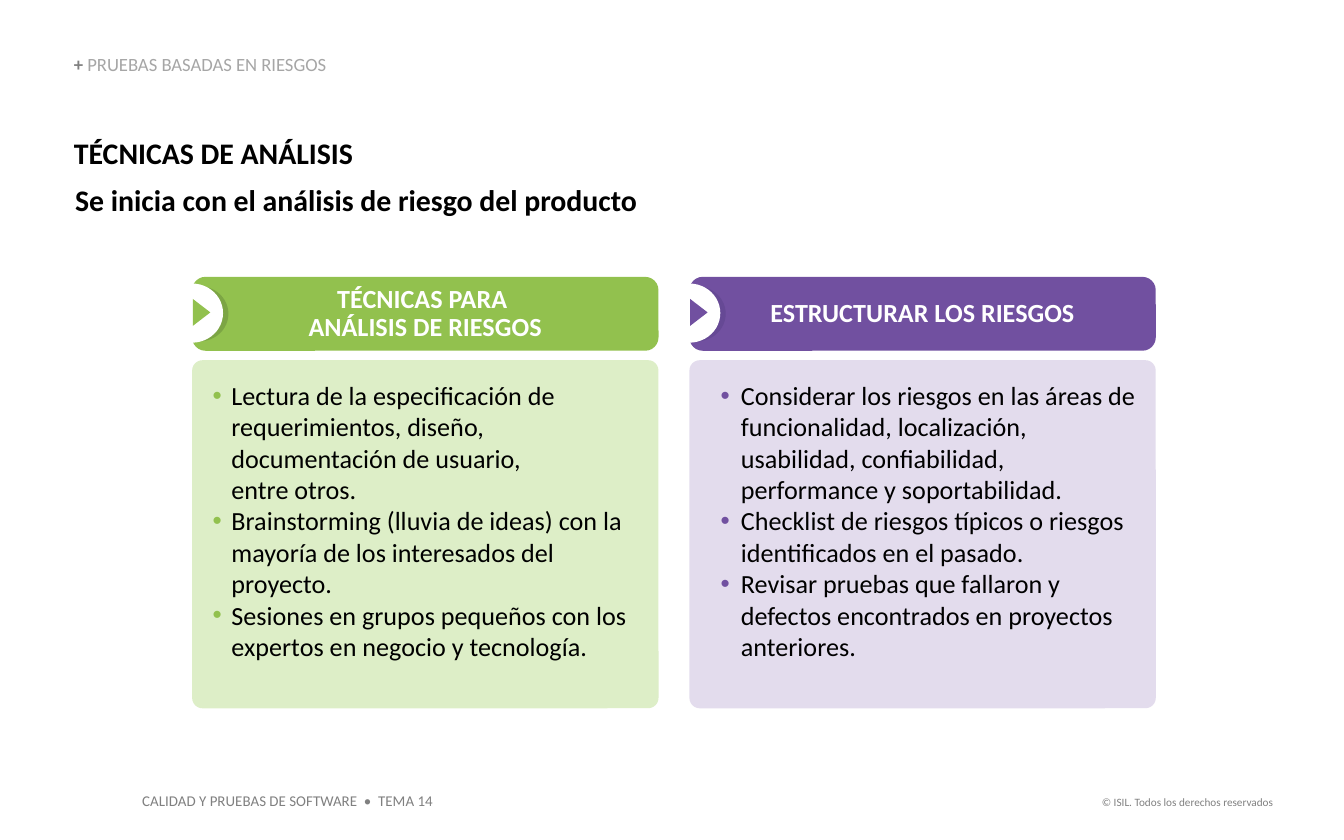
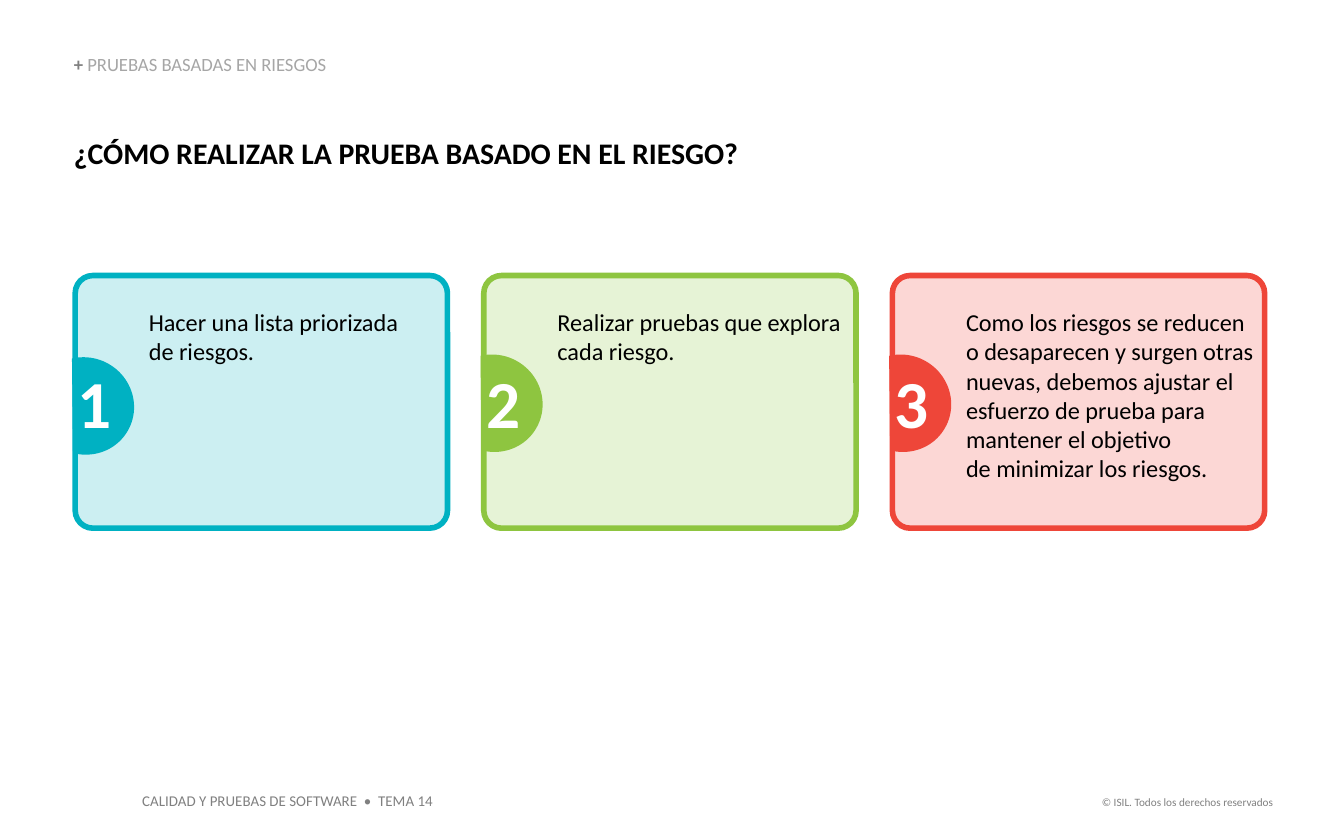
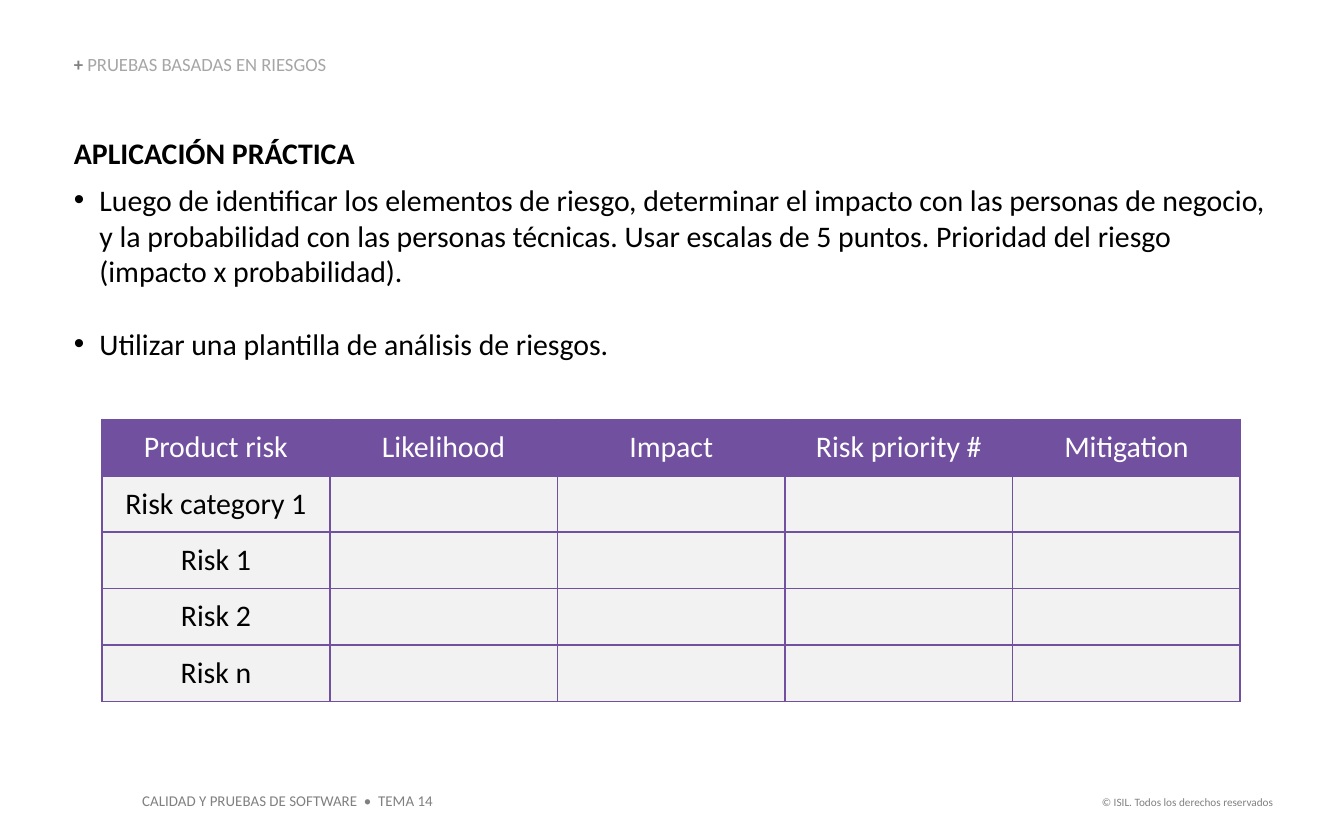
from lxml import etree
from pptx import Presentation
from pptx import util as u
from pptx.dml.color import RGBColor
from pptx.enum import shapes, text
from pptx.oxml import ns

# Shared style
FONT = "Calibri"
BLACK = RGBColor(0x00, 0x00, 0x00)
WHITE = RGBColor(0xFF, 0xFF, 0xFF)
GRAY = RGBColor(0x80, 0x80, 0x80)
LIGHT_GRAY = RGBColor(0xA6, 0xA6, 0xA6)
CELL_GRAY = RGBColor(0xF2, 0xF2, 0xF2)
PURPLE = RGBColor(0x71, 0x50, 0xA0)
DARK_PURPLE = RGBColor(0x66, 0x49, 0x95)
PALE_PURPLE = RGBColor(0xE3, 0xDC, 0xED)
GREEN = RGBColor(0x92, 0xC1, 0x4E)
DARK_GREEN = RGBColor(0x7C, 0xA5, 0x44)
PALE_GREEN = RGBColor(0xDD, 0xEE, 0xC7)
TEAL = RGBColor(0x00, 0xB1, 0xC2)
PALE_TEAL = RGBColor(0xCC, 0xEF, 0xF2)
LIME = RGBColor(0x8E, 0xC5, 0x40)
PALE_LIME = RGBColor(0xE6, 0xF3, 0xD6)
RED = RGBColor(0xEE, 0x46, 0x39)
PALE_RED = RGBColor(0xFC, 0xD7, 0xD5)

LEFT, CENTER, RIGHT = text.PP_ALIGN.LEFT, text.PP_ALIGN.CENTER, text.PP_ALIGN.RIGHT
TOP, MIDDLE, BOTTOM = text.MSO_ANCHOR.TOP, text.MSO_ANCHOR.MIDDLE, text.MSO_ANCHOR.BOTTOM
SHAPE = shapes.MSO_SHAPE
NO_INSETS = (0, 0, 0, 0)
DEFAULT_INSETS = (0.1, 0.05, 0.1, 0.05)


def box(*lengths):
    return [u.Inches(length) for length in lengths]


class Deck:
    def __init__(self):
        self.prs = Presentation()
        self.prs.slide_width, self.prs.slide_height = box(10, 6.25)
        self.slide = None

    def new_slide(self, title):
        """Add a slide with its title, section label and footers."""
        self.slide = self.prs.slides.add_slide(self.prs.slide_layouts[5])
        heading = self.slide.shapes.title
        heading.left, heading.top, heading.width, heading.height = box(0.55, 1, 8.94, 0.27)
        self.frame(heading.text_frame, NO_INSETS)
        self.add_lines(heading.text_frame.paragraphs[0], title, 16, bold=True)

        section = self.label((0.55, 0.41, 3.61, 0.15), "+ ", 10, GRAY, True,
                             insets=NO_INSETS, anchor=BOTTOM)
        self.add_run(section, "PRUEBAS BASADAS EN RIESGOS", 10, LIGHT_GRAY)
        section.line_spacing = 0.9
        self.label((0.96, 5.84, 2.6, 0.24),
                   "CALIDAD Y PRUEBAS DE SOFTWARE  •  TEMA 14", 8, GRAY)
        self.label((7.88, 5.87, 1.69, 0.2),
                   "© ISIL. Todos los derechos reservados", 6, GRAY, align=RIGHT)

    # Text
    def frame(self, frame, insets=DEFAULT_INSETS, anchor=TOP):
        frame.word_wrap = True
        frame.auto_size = text.MSO_AUTO_SIZE.NONE
        frame.vertical_anchor = anchor
        (frame.margin_left, frame.margin_top,
         frame.margin_right, frame.margin_bottom) = box(*insets)

    def add_run(self, paragraph, words, size, color=BLACK, bold=False):
        run = paragraph.add_run()
        run.text = words
        font = run.font
        font.name, font.size, font.bold = FONT, u.Pt(size), bold
        font.color.rgb = color

    def add_lines(self, paragraph, words, size, color=BLACK, bold=False, align=LEFT):
        paragraph.alignment = align
        for number, line in enumerate(words.split("\n")):
            if number:
                paragraph.add_line_break()
            self.add_run(paragraph, line, size, color, bold)

    def label(self, place, words, size, color=BLACK, bold=False, align=LEFT,
              insets=DEFAULT_INSETS, anchor=TOP):
        frame = self.slide.shapes.add_textbox(*box(*place)).text_frame
        self.frame(frame, insets, anchor)
        self.add_lines(frame.paragraphs[0], words, size, color, bold, align)
        return frame.paragraphs[0]

    def bullets(self, frame, items, size, color, margin, hanging, gap=0):
        for number, item in enumerate(items):
            paragraph = frame.add_paragraph() if number else frame.paragraphs[0]
            props = paragraph._p.get_or_add_pPr()
            props.set("marL", str(u.Inches(margin)))
            props.set("indent", str(-u.Inches(hanging)))
            bullet_color = etree.SubElement(props, ns.qn("a:buClr"))
            etree.SubElement(bullet_color, ns.qn("a:srgbClr"), val=str(color))
            etree.SubElement(props, ns.qn("a:buFont"), typeface="Arial")
            etree.SubElement(props, ns.qn("a:buChar"), char="•")
            if number and gap:
                paragraph.space_before = u.Pt(gap)
            self.add_lines(paragraph, item, size)

    # Shapes
    def shape(self, kind, place, fill, line=None, adjust=(), rotation=0):
        shape = self.slide.shapes.add_shape(kind, *box(*place))
        shape.shadow.inherit = False
        shape.fill.solid()
        shape.fill.fore_color.rgb = fill
        if line is None:
            shape.line.fill.background()
        else:
            shape.line.color.rgb = line
            shape.line.width = u.Pt(3)
        for number, value in enumerate(adjust):
            shape.adjustments[number] = value
        shape.rotation = rotation
        return shape

    def technique_panel(self, left, heading, items, colors, margin, hanging):
        """Header bar with an arrow badge, above a bulleted panel."""
        strong, dark, pale = colors
        bar = self.shape(SHAPE.ROUNDED_RECTANGLE, (left, 2.06, 3.47, 0.55), strong, adjust=[0.18])
        self.frame(bar.text_frame, anchor=MIDDLE)
        title = bar.text_frame.paragraphs[0]
        self.add_lines(title, heading, 14, WHITE, True, CENTER)
        title.line_spacing = 0.9
        panel = self.shape(SHAPE.ROUNDED_RECTANGLE, (left, 2.68, 3.47, 2.59), pale, adjust=[0.03])
        self.frame(panel.text_frame, (0.12, 0.12, 0.12, 0.05))
        self.bullets(panel.text_frame, items, 14, strong, margin, hanging)
        self.shape(SHAPE.OVAL, (left - 0.16, 2.13, 0.43, 0.41), dark)
        self.shape(SHAPE.OVAL, (left - 0.23, 2.11, 0.46, 0.44), WHITE)
        self.shape(SHAPE.ISOSCELES_TRIANGLE, (left - 0.03, 2.26, 0.2, 0.13), strong, rotation=90)

    def step_card(self, left, number, words, strong, pale, badge_top):
        """Outlined card with a numbered half-round badge."""
        card = self.shape(SHAPE.ROUNDED_RECTANGLE, (left, 2.05, 2.77, 1.88), pale, strong, [0.07])
        self.frame(card.text_frame, (0.51, 0.2, 0.04, 0.05))
        self.add_lines(card.text_frame.paragraphs[0], words, 13)
        self.shape(SHAPE.CHORD, (left - 0.3, badge_top, 0.74, 0.72), strong,
                   adjust=[27, 152.33], rotation=210)
        self.label((left - 0.08, 2.64, 0.41, 0.71), str(number), 36, WHITE, True)

    # Table
    def border(self, cell, color):
        props = cell._tc.get_or_add_tcPr()
        for position, side in enumerate(("a:lnL", "a:lnR", "a:lnT", "a:lnB")):
            line = etree.Element(ns.qn(side), w=str(u.Pt(1)))
            fill = etree.SubElement(line, ns.qn("a:solidFill"))
            etree.SubElement(fill, ns.qn("a:srgbClr"), val=str(color))
            props.insert(position, line)

    def risk_table(self, place, headings, categories):
        rows = [headings] + [[name] + [""] * (len(headings) - 1) for name in categories]
        table = self.slide.shapes.add_table(len(rows), len(headings), *box(*place)).table
        for row_number, row in enumerate(rows):
            fill, color = (CELL_GRAY, BLACK) if row_number else (PURPLE, WHITE)
            for column, words in enumerate(row):
                cell = table.cell(row_number, column)
                cell.fill.solid()
                cell.fill.fore_color.rgb = fill
                cell.vertical_anchor = MIDDLE
                self.border(cell, PURPLE)
                if words:
                    self.add_lines(cell.text_frame.paragraphs[0], words, 16, color, align=CENTER)


def main():
    deck = Deck()

    # Slide 1: analysis techniques
    deck.new_slide("TÉCNICAS DE ANÁLISIS")
    deck.label((0.56, 1.35, 8.93, 0.27), "Se inicia con el análisis de riesgo del producto",
               16, bold=True, insets=NO_INSETS)
    deck.technique_panel(5.13, "ESTRUCTURAR LOS RIESGOS", [
        "Considerar los riesgos en las áreas de funcionalidad, localización, "
        "usabilidad, confiabilidad, performance y soportabilidad.",
        "Checklist de riesgos típicos o riesgos identificados en el pasado.",
        "Revisar pruebas que fallaron y defectos encontrados en proyectos anteriores.",
    ], (PURPLE, DARK_PURPLE, PALE_PURPLE), 0.24, 0.15)
    deck.technique_panel(1.43, "TÉCNICAS PARA \nANÁLISIS DE RIESGOS", [
        "Lectura de la especificación de requerimientos, diseño, "
        "documentación de usuario, \nentre otros.",
        "Brainstorming (lluvia de ideas) con la mayoría de los interesados del proyecto.",
        "Sesiones en grupos pequeños con los expertos en negocio y tecnología.",
    ], (GREEN, DARK_GREEN, PALE_GREEN), 0.15, 0.14)

    # Slide 2: three steps
    deck.new_slide("¿CÓMO REALIZAR LA PRUEBA BASADO EN EL RIESGO?")
    steps = [
        ("Hacer una lista priorizada \nde riesgos.", TEAL, PALE_TEAL, 2.66),
        ("Realizar pruebas que explora cada riesgo.", LIME, PALE_LIME, 2.64),
        ("Como los riesgos se reducen o desaparecen y surgen otras nuevas, debemos "
         "ajustar el esfuerzo de prueba para mantener el objetivo \nde minimizar los riesgos.",
         RED, PALE_RED, 2.64),
    ]
    for index, step in enumerate(steps):
        deck.step_card(0.56 + 3.04 * index, index + 1, *step)

    # Slide 3: practical application
    deck.new_slide("APLICACIÓN PRÁCTICA")
    advice = deck.slide.shapes.add_textbox(*box(0.55, 1.35, 8.94, 1.35)).text_frame
    deck.frame(advice, NO_INSETS)
    deck.bullets(advice, [
        "Luego de identificar los elementos de riesgo, determinar el impacto con las "
        "personas de negocio, y la probabilidad con las personas técnicas. Usar escalas "
        "de 5 puntos. Prioridad del riesgo (impacto x probabilidad).",
        "Utilizar una plantilla de análisis de riesgos.",
    ], 16, BLACK, 0.19, 0.19, gap=19.5)
    deck.risk_table((0.76, 3.12, 8.47, 2.1),
                    ["Product risk", "Likelihood", "Impact", "Risk priority #", "Mitigation"],
                    ["Risk category 1", "Risk 1", "Risk 2", "Risk n"])

    deck.prs.save("out.pptx")


if __name__ == "__main__":
    main()
